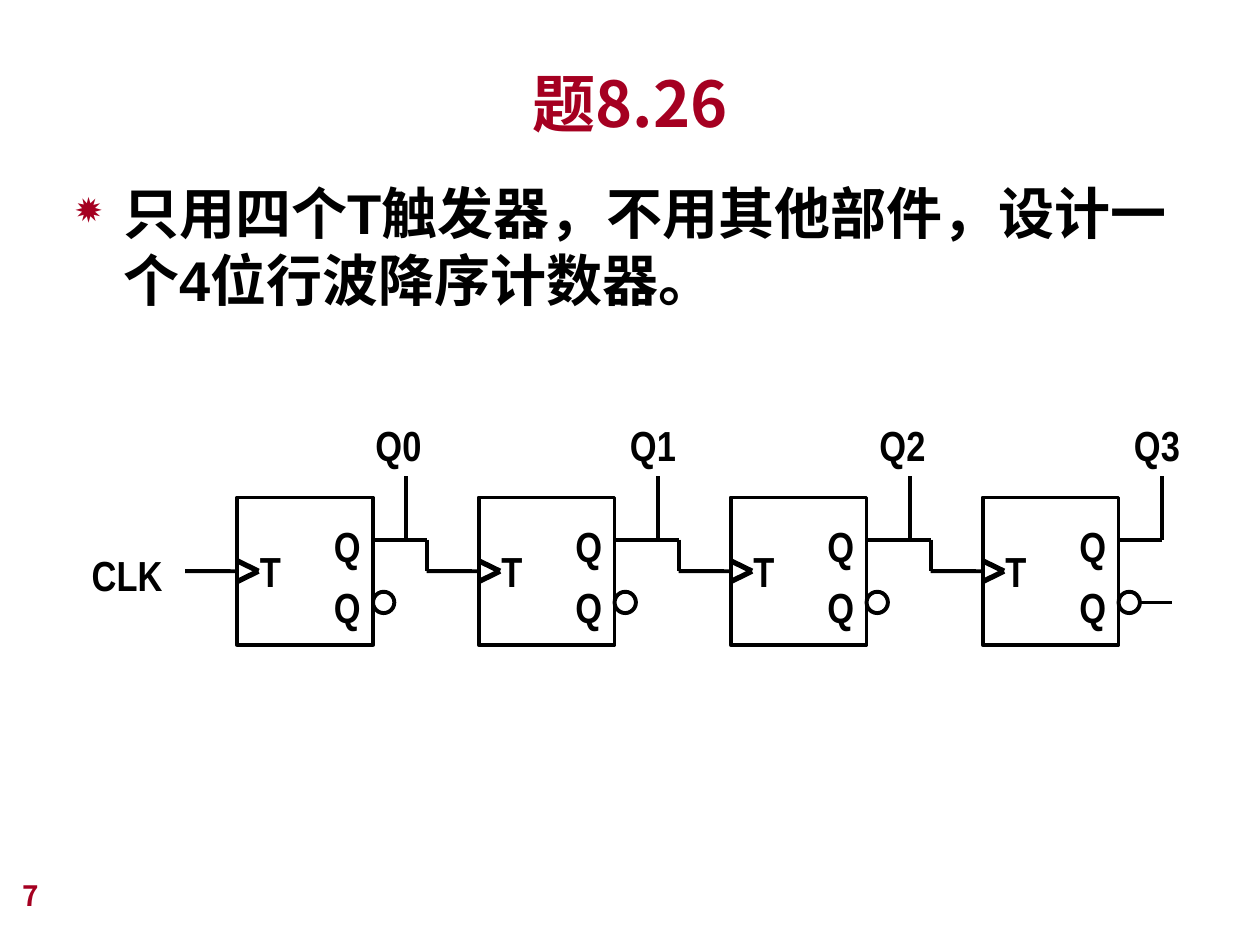
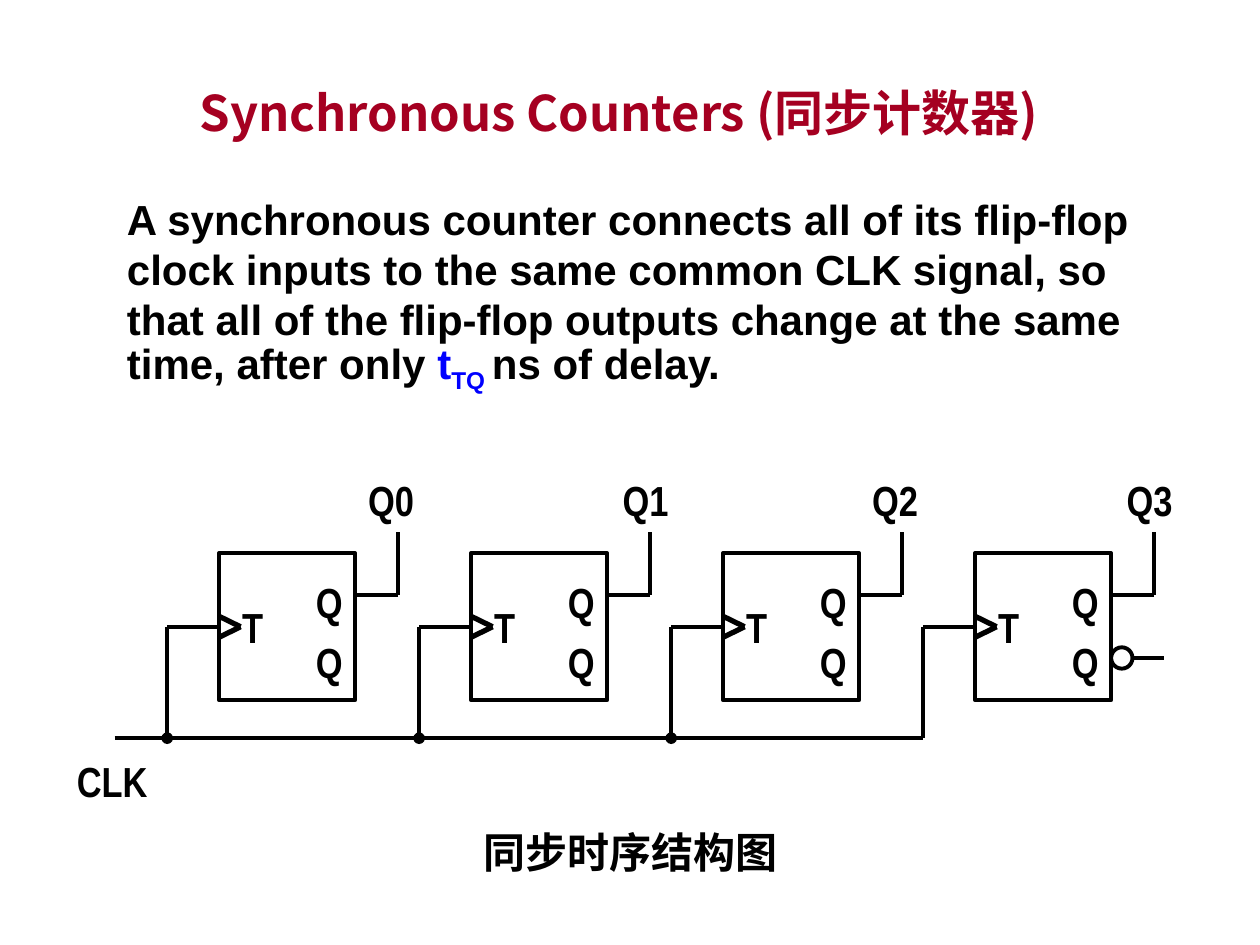
from itertools import pairwise

from lxml.etree import SubElement
from pptx import Presentation
from pptx.dml.color import RGBColor
from pptx.enum.shapes import MSO_CONNECTOR, MSO_SHAPE
from pptx.enum.text import MSO_ANCHOR, PP_ALIGN
from pptx.oxml.ns import qn
from pptx.util import Cm, Pt

theme = {
    "red": RGBColor(0xA5, 0x00, 0x21),
    "black": RGBColor(0, 0, 0),
    "blue": RGBColor(0, 0, 0xFF),
    "cjk": "Noto Sans CJK JP",
    "wire": 2.25,
    "chevron": 3,
}
heading = {"name": theme["cjk"], "size": Pt(36), "bold": True, "color": theme["red"]}
subheading = heading | {"size": Pt(28)}
page_number = heading | {"size": Pt(16)}
statement = {"name": "Arial", "size": Pt(32), "bold": True, "color": theme["black"]}
definition = statement | {"size": Pt(24)}
signal = definition | {"name": "Arial Narrow"}


def write(frame, paragraphs, style, wrap=True, anchor=MSO_ANCHOR.TOP, **layout):
    frame.word_wrap = wrap
    frame.vertical_anchor = anchor
    for index, runs in enumerate(paragraphs):
        paragraph = frame.add_paragraph() if index else frame.paragraphs[0]
        for key, value in layout.items():
            setattr(paragraph, key, value)
        for text, changes in runs:
            run = paragraph.add_run()
            run.text = text
            for key, value in (style | changes).items():
                if key == "color":
                    run.font.color.rgb = value
                elif key == "baseline":
                    run.font._element.set("baseline", value)
                else:
                    setattr(run.font, key, value)
            SubElement(run.font._element, qn("a:ea"), typeface=theme["cjk"])
    return frame.paragraphs[0]


def draw_wire(slide, points, width=theme["wire"]):
    for (x1, y1), (x2, y2) in pairwise(points):
        segment = slide.shapes.add_connector(
            MSO_CONNECTOR.STRAIGHT, Cm(x1), Cm(y1), Cm(x2), Cm(y2))
        segment.line.width = Pt(width)
        segment.line.color.rgb = theme["black"]
        SubElement(segment._element.spPr, qn("a:effectLst"))
    return segment


deck = Presentation()
deck.slide_width, deck.slide_height = Cm(25.4), Cm(19.05)
ripple, synchronous = [deck.slides.add_slide(deck.slide_layouts[6]) for _ in range(2)]

center = {"alignment": PP_ALIGN.CENTER}
title = center | {"anchor": MSO_ANCHOR.BOTTOM}
plain = {"wrap": False}
texts = [
    (ripple, (1.9, 0.84, 21.6, 2.11), [("题8.26", {})], heading, title),
    (ripple, (0.2, 17.58, 5.28, 1.27), [("7", {})], page_number, {}),
    (ripple, (1.6, 10.95, 1.93, 1.27), [("CLK", {})], signal, plain),
    (synchronous, (0.89, 1.32, 23.39, 1.65),
     [("Synchronous Counters (同步计数器) ", {})], subheading, title),
    (synchronous, (2.31, 3.77, 21.39, 4.8), [
        ("A synchronous counter connects all of its flip-flop clock inputs to the same "
         "common CLK signal, so that all of the flip-flop outputs change at the same "
         "time, after only ", {}),
        ("t", {"color": theme["blue"]}),
        ("TQ ", {"color": theme["blue"], "baseline": "-25000"}),
        ("ns of delay.", {}),
    ], definition, {"line_spacing": Pt(28.75)}),
    (synchronous, (1.3, 15.11, 1.93, 1.27), [("CLK", {})], signal, plain),
    (synchronous, (8.71, 16.54, 8.2, 1.27), [("同步时序结构图 ", {})], signal, center),
]
for slide, place, runs, style, layout in texts:
    box = slide.shapes.add_textbox(*map(Cm, place))
    write(box.text_frame, [runs], style, **layout)

task = ripple.shapes.add_textbox(Cm(1.27), Cm(3.47), Cm(22.86), Cm(3.23))
task_line = write(
    task.text_frame,
    [[("只用四个T触发器，不用其他部件，设计一个4位行波降序计数器。", {})]],
    statement, line_spacing=Pt(38.3))
bullet = task_line._p.get_or_add_pPr()
bullet.set("marL", str(Cm(0.97)))
bullet.set("indent", str(-Cm(0.97)))
SubElement(SubElement(bullet, qn("a:buClr")), qn("a:srgbClr"), val=str(theme["red"]))
SubElement(bullet, qn("a:buSzPct"), val="80000")
SubElement(bullet, qn("a:buChar"), char="✹")

pitch, width, height = 5.08, 2.74, 2.97
bubble_size, lead = 0.43, 1.05
bus_y, bus_start = 14.88, 2.31
circuits = [
    (ripple, 4.57, 10.03, 0.21, range(4)),
    (synchronous, 4.42, 11.15, 0, [3]),
]
for slide, origin, top, first_shift, bubbles in circuits:
    output_y, clock_y = top + 0.85, top + height / 2
    previous_right = None
    for stage in range(4):
        column = origin + stage * pitch
        left = column + (0 if stage else first_shift)
        right, tap, entry = left + width, column + 3.61, left - lead

        flip_flop = slide.shapes.add_shape(
            MSO_SHAPE.RECTANGLE, Cm(left), Cm(top), Cm(width), Cm(height))
        outlined = [flip_flop]
        write(flip_flop.text_frame, [[("Q", {})]] * 2, signal, anchor=MSO_ANCHOR.MIDDLE,
              alignment=PP_ALIGN.RIGHT, line_spacing=1.2)
        if stage in bubbles:
            bubble_y = top + 1.9
            outlined.append(slide.shapes.add_shape(
                MSO_SHAPE.OVAL, Cm(right), Cm(bubble_y), Cm(bubble_size), Cm(bubble_size)))
        for shape in outlined:
            shape.shadow.inherit = False
            shape.fill.background()
            shape.line.color.rgb = theme["black"]
            shape.line.width = Pt(theme["wire"])

        draw_wire(slide, [(left, clock_y - 0.21), (left + 0.43, clock_y),
                          (left, clock_y + 0.21)], theme["chevron"])
        for text, x, y, span in [
            ("T", left + 0.21, output_y, 0.94),
            (f"Q{stage}", column + 2.75 + stage % 2 * 0.05, top - 1.7, 1.45),
        ]:
            label = slide.shapes.add_textbox(Cm(x), Cm(y), Cm(span), Cm(1.27))
            write(label.text_frame, [[(text, {})]], signal, wrap=False)

        draw_wire(slide, [(right, output_y), (tap, output_y), (tap, top - 0.43)])
        if stage == 3:
            stub_y = bubble_y + bubble_size / 2
            draw_wire(slide, [(right + bubble_size, stub_y), (right + 1.07, stub_y)])

        if slide is synchronous:
            drop = draw_wire(slide, [(entry, clock_y), (entry, bus_y)])
            if stage < 3:
                SubElement(drop.line._get_or_add_ln(), qn("a:tailEnd"), type="oval")
        elif stage:
            draw_wire(slide, [(previous_right, output_y), (entry, output_y),
                              (entry, clock_y)])
        clock_input = draw_wire(slide, [(entry, clock_y), (left, clock_y)])
        clock_input.end_connect(flip_flop, 1)
        previous_right = right

draw_wire(synchronous, [(bus_start, bus_y), (entry, bus_y)])

deck.save("out.pptx")
